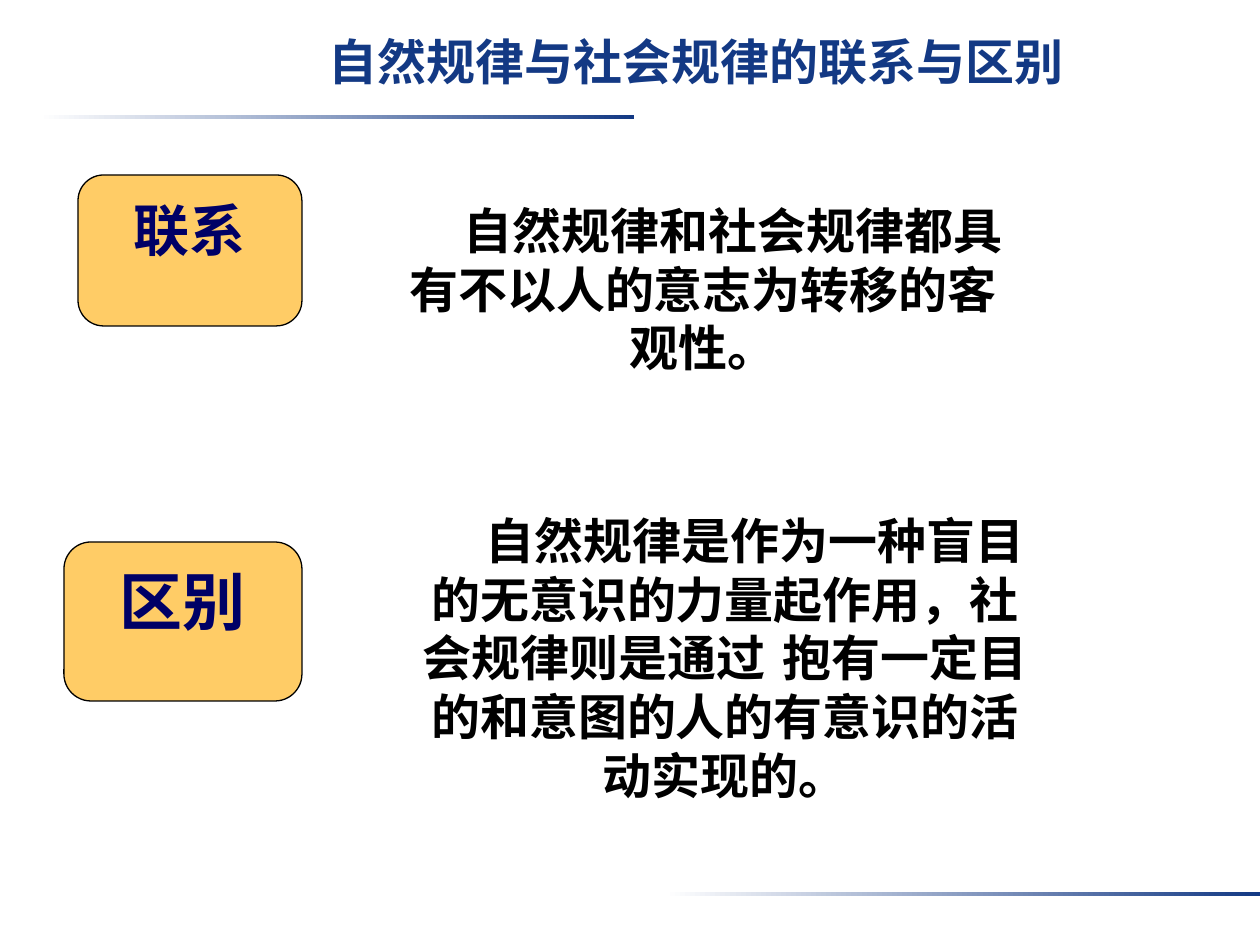
from pptx import Presentation
from pptx.dml.color import RGBColor
from pptx.enum.shapes import MSO_SHAPE as Shape
from pptx.enum.text import MSO_ANCHOR as Anchor, PP_ALIGN as Align
from pptx.oxml.ns import qn
from pptx.util import Emu, Pt
from lxml.etree import SubElement

PX = 914400 // 126
WHITE = RGBColor(0xFF, 0xFF, 0xFF)
BLACK = RGBColor(0, 0, 0)
BLUE = RGBColor(0x13, 0x39, 0x84)
NAVY = RGBColor(0, 0, 0x66)
AMBER = RGBColor(0xFF, 0xCC, 0x66)


def px(*lengths):
    return [Emu(length * PX) for length in lengths]


class SlideBuilder:
    def __init__(self, slide):
        self.slide = slide

    def rule(self, left, top):
        """Thin bar that fades in from white to blue."""
        shape = self.slide.shapes.add_shape(Shape.RECTANGLE, *px(left, top, 595, 4))
        shape.shadow.inherit = False
        shape.line.fill.background()
        shape.fill.gradient()
        shape.fill.gradient_angle = 0
        for stop, color in zip(shape.fill.gradient_stops, (WHITE, BLUE)):
            stop.color.rgb = color

    def text(self, box, words, size, font, color=BLACK, margin=0, indent=0, parent=None):
        shapes = (parent or self.slide).shapes
        text_frame = shapes.add_textbox(*px(*box)).text_frame
        text_frame.word_wrap = True
        text_frame.vertical_anchor = Anchor.TOP
        text_frame.text = words
        paragraph = text_frame.paragraphs[0]
        paragraph.alignment = Align.CENTER
        properties = paragraph._p.get_or_add_pPr()
        properties.set("marL", str(margin * PX))
        properties.set("indent", str(indent * PX))
        run = paragraph.runs[0]
        run.font.size = Pt(size)
        run.font.bold = True
        run.font.name = font
        run.font.color.rgb = color
        SubElement(run._r.get_or_add_rPr(), qn("a:ea")).set("typeface", font)

    def card(self, left, top, width, height, words, size):
        """Rounded card grouped with its label."""
        group = self.slide.shapes.add_group_shape()
        shape = group.shapes.add_shape(Shape.ROUNDED_RECTANGLE, *px(left, top, width, height))
        shape.shadow.inherit = False
        shape.adjustments[0] = 0.17
        shape.fill.solid()
        shape.fill.fore_color.rgb = AMBER
        shape.line.color.rgb = BLACK
        shape.line.width = Pt(0.75)
        label = (left, top + 14, width, height // 2)
        self.text(label, words, size, "Comic Neue", NAVY, parent=group)


def main():
    presentation = Presentation()
    presentation.slide_width, presentation.slide_height = px(1260, 945)
    builder = SlideBuilder(presentation.slides.add_slide(presentation.slide_layouts[6]))

    # Title and rules
    builder.rule(39, 115)
    builder.rule(665, 892)
    builder.text((0, 25, 1260, 95), "自然规律与社会规律的联系与区别", 28,
                 "Noto Sans CJK JP", BLUE, margin=132)

    # Connection
    builder.card(78, 175, 224, 151, "联系", 32)
    builder.text((388, 194, 630, 190),
                 "自然规律和社会规律都具有不以人的意志为转移的客观性。",
                 28, "Arial", indent=60)

    # Difference
    builder.card(64, 542, 238, 159, "区别", 36)
    builder.text((410, 504, 630, 310),
                 "自然规律是作为一种盲目的无意识的力量起作用，社会规律则是通过 "
                 "抱有一定目的和意图的人的有意识的活动实现的。",
                 28, "DejaVu Sans", indent=60)

    presentation.save("out.pptx")


if __name__ == "__main__":
    main()
